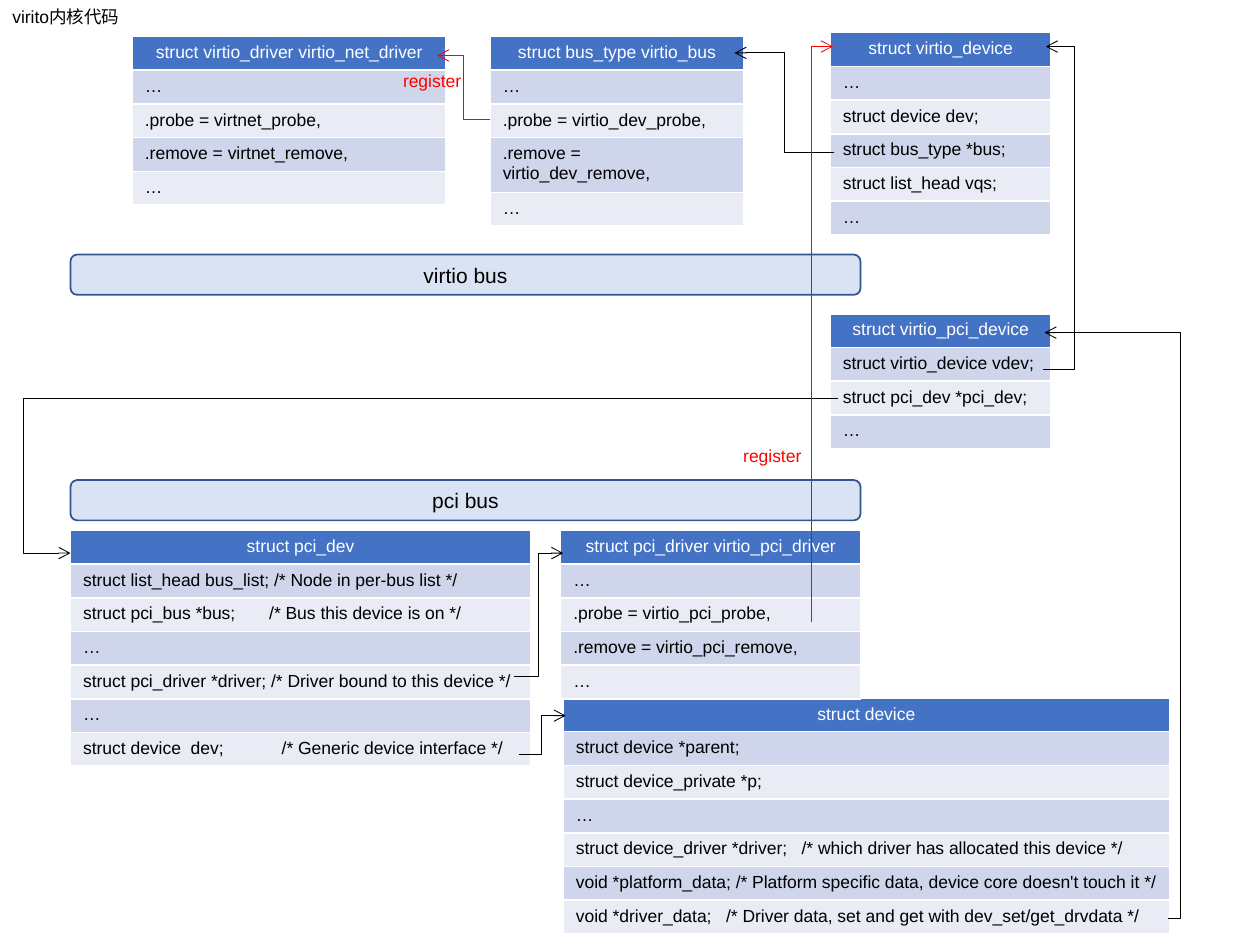
from lxml.etree import SubElement
from pptx import Presentation
from pptx.dml.color import RGBColor
from pptx.enum.shapes import MSO_CONNECTOR, MSO_SHAPE
from pptx.enum.text import MSO_ANCHOR, PP_ALIGN
from pptx.oxml.ns import qn
from pptx.util import Inches, Pt

presentation = Presentation()
presentation.slide_width = Inches(10)
presentation.slide_height = Inches(7.5)
slide = presentation.slides.add_slide(presentation.slide_layouts[6])

# Grid of 100 columns by 75 rows
COLUMN = presentation.slide_width / 100
ROW = presentation.slide_height / 75
FIELD_ROWS = 2.67

BLACK, WHITE, RED = "000000", "FFFFFF", "FF0000"
HEADER_FILL, ODD_FILL, EVEN_FILL = "4472C4", "CFD5EA", "E9EBF5"
BUS_FILL, BUS_LINE = "DAE3F3", "325491"


def color(value):
    return RGBColor.from_string(value)


def grid(left, top, width, height):
    return (round(left * COLUMN), round(top * ROW),
            round(width * COLUMN), round(height * ROW))


def write(frame, text, size=10, fill=BLACK, align=PP_ALIGN.LEFT):
    paragraph = frame.paragraphs[0]
    paragraph.alignment = align
    run = paragraph.add_run()
    run.text = text
    run.font.name = "Arial"
    run.font.size = Pt(size)
    run.font.bold = False
    run.font.color.rgb = color(fill)


def add_label(box, text, **text_format):
    frame = slide.shapes.add_textbox(*grid(*box)).text_frame
    frame.word_wrap = True
    write(frame, text, **text_format)


def add_bus(box, name):
    shape = slide.shapes.add_shape(MSO_SHAPE.ROUNDED_RECTANGLE, *grid(*box))
    shape.shadow.inherit = False
    shape.fill.solid()
    shape.fill.fore_color.rgb = color(BUS_FILL)
    shape.line.color.rgb = color(BUS_LINE)
    shape.line.width = Pt(1)
    shape.text_frame.vertical_anchor = MSO_ANCHOR.MIDDLE
    write(shape.text_frame, name, size=12, align=PP_ALIGN.CENTER)


def add_struct(left, top, width, name, fields):
    """A header row with the name, then one banded row per field."""
    lines = [name, *fields]
    box = grid(left, top, width, FIELD_ROWS * len(lines))
    table = slide.shapes.add_table(len(lines), 1, *box).table
    for index, line in enumerate(lines):
        cell = table.cell(index, 0)
        cell.fill.solid()
        if index == 0:
            cell.fill.fore_color.rgb = color(HEADER_FILL)
            write(cell.text_frame, line, fill=WHITE, align=PP_ALIGN.CENTER)
        else:
            cell.fill.fore_color.rgb = color(ODD_FILL if index % 2 else EVEN_FILL)
            write(cell.text_frame, line)


def add_arrow(start, end, bend, fill=BLACK):
    """An elbow arrow whose upright part stands at column bend."""
    begin_x, begin_y, end_x, end_y = grid(*start, *end)
    connector = slide.shapes.add_connector(
        MSO_CONNECTOR.ELBOW, begin_x, begin_y, end_x, end_y)
    connector.line.color.rgb = color(fill)
    connector.line.width = Pt(0.5)
    properties = connector._element.spPr
    share = (bend - start[0]) / (end[0] - start[0])
    adjustments = properties.find(qn("a:prstGeom")).find(qn("a:avLst"))
    SubElement(adjustments, qn("a:gd"), name="adj1",
               fmla=f"val {round(share * 100000)}")
    SubElement(properties.find(qn("a:ln")), qn("a:tailEnd"), type="arrow")
    SubElement(properties, qn("a:effectLst"))


# Title
add_label((0, 0, 100, 2.7), "virito内核代码")

# Buses
add_bus((5.6, 20.2, 62.7, 3.2), "virtio bus")
add_bus((5.6, 38.1, 62.7, 3.2), "pci bus")

# Structs: left, top, width, name, fields
STRUCTS = [
    (5.6, 42.1, 36.5, "struct pci_dev", [
        "struct list_head bus_list; /* Node in per-bus list */",
        "struct pci_bus *bus;       /* Bus this device is on */",
        "…",
        "struct pci_driver *driver; /* Driver bound to this device */",
        "…",
        "struct device  dev;            /* Generic device interface */"]),
    (44.7, 55.4, 48.1, "struct device", [
        "struct device *parent;",
        "struct device_private *p;",
        "…",
        "struct device_driver *driver;   /* which driver has allocated this device */",
        "void *platform_data; /* Platform specific data, device core doesn't touch it */",
        "void *driver_data;   /* Driver data, set and get with dev_set/get_drvdata */"]),
    (65.9, 24.9, 17.5, "struct virtio_pci_device", [
        "struct virtio_device vdev;", "struct pci_dev *pci_dev;", "…"]),
    (65.9, 2.6, 17.5, "struct virtio_device", [
        "…", "struct device dev;", "struct bus_type *bus;",
        "struct list_head vqs;", "…"]),
    (44.5, 42.1, 23.8, "struct pci_driver virtio_pci_driver", [
        "…", ".probe = virtio_pci_probe,", ".remove = virtio_pci_remove,", "…"]),
    (38.9, 2.9, 20.1, "struct bus_type virtio_bus", [
        "…", ".probe = virtio_dev_probe,", ".remove = virtio_dev_remove,", "…"]),
    (10.5, 2.9, 24.9, "struct virtio_driver virtio_net_driver", [
        "…", ".probe = virtnet_probe,", ".remove = virtnet_remove,", "…"]),
]
for struct in STRUCTS:
    add_struct(*struct)

# Pointers between structs: start, end, bend
POINTERS = [
    ((40.8, 53.7), (44.7, 43.9), 42.7),
    ((41.2, 59.9), (44.9, 56.8), 43),
    ((92.7, 72.9), (82.9, 26.4), 93.7),
    ((82.8, 29.3), (83, 3.7), 85.3),
    ((66.2, 12.1), (58.3, 4.2), 62.3),
    ((66.5, 31.6), (5.6, 43.9), 1.9),
]
for pointer in POINTERS:
    add_arrow(*pointer)

# Registrations
add_arrow((64.4, 49.4), (66.1, 3.7), 64.4, fill=RED)
add_arrow((38.9, 9.5), (34.7, 4.4), 36.8, fill=RED)
for label_left, label_top in [(58, 34.8), (31, 5.1)]:
    add_label((label_left, label_top, 7.1, 2.7), "register", fill=RED)

presentation.save("out.pptx")
